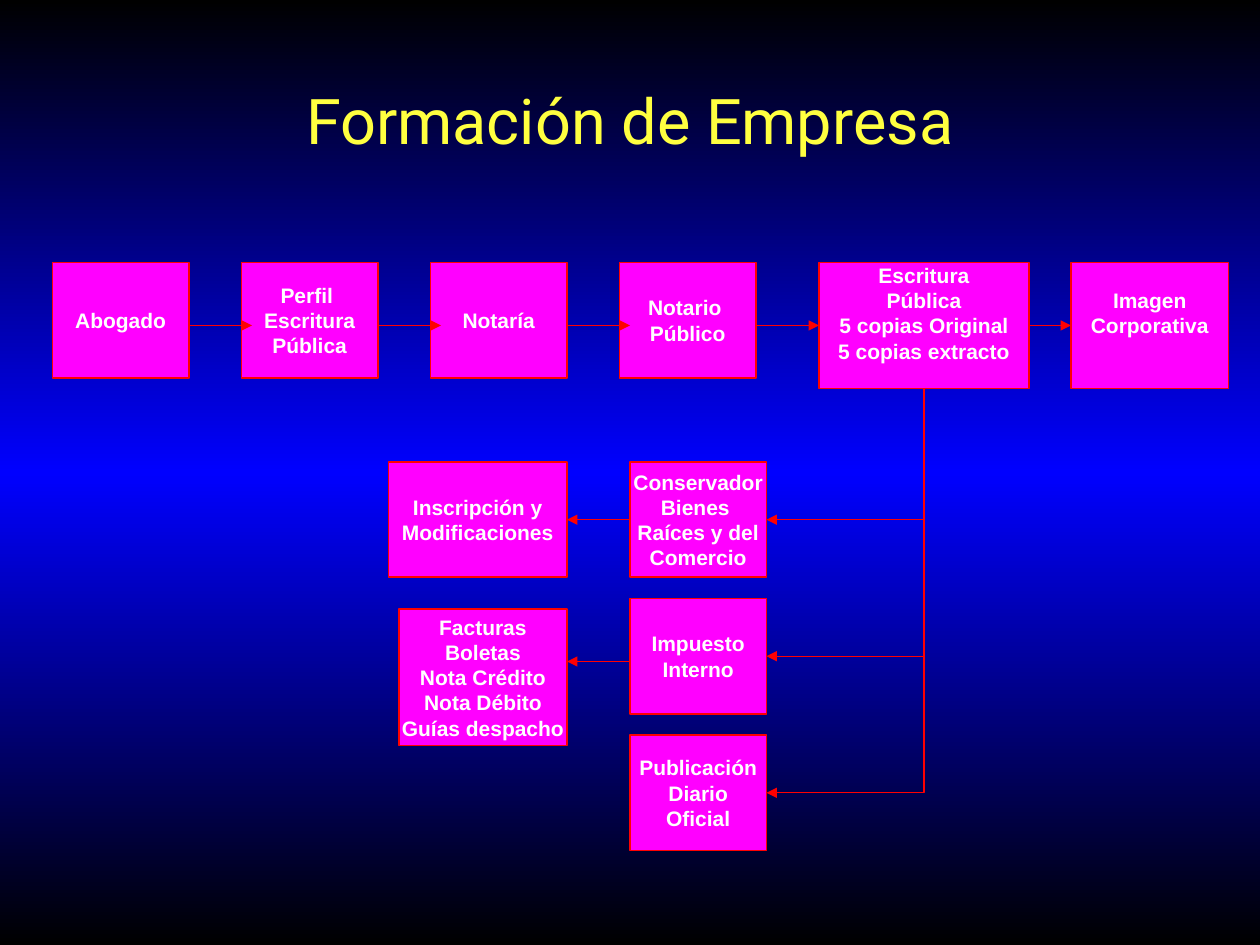
from copy import deepcopy
from dataclasses import dataclass

from lxml.etree import SubElement
from pptx import Presentation
from pptx.dml.color import RGBColor as RGB
from pptx.enum.shapes import MSO_CONNECTOR as LINK, MSO_SHAPE as SHAPE
from pptx.enum.text import MSO_ANCHOR as ANCHOR, MSO_AUTO_SIZE as FIT, PP_ALIGN as ALIGN
from pptx.oxml.ns import qn
from pptx.util import Inches, Pt

COLS, ROWS = 120, 90
TOP, LEFT, BOTTOM, RIGHT = 0, 1, 2, 3


@dataclass
class Theme:
    night: RGB = RGB(0, 0, 0)
    glow: RGB = RGB(0, 0, 255)
    title: RGB = RGB(255, 255, 64)
    box: RGB = RGB(255, 0, 255)
    line: RGB = RGB(255, 0, 0)
    text: RGB = RGB(255, 255, 255)
    head: str = "Roboto"
    body: str = "Arial"
    big: int = 36
    small: int = 12
    edge: float = 1
    link: float = 0.75


class Chart:
    """Draws the flow on a grid of COLS by ROWS."""

    def __init__(self, deck, theme):
        self.theme = theme
        self.slide = deck.slides.add_slide(deck.slide_layouts[5])
        self.shapes = self.slide.shapes
        self.dx = deck.slide_width / COLS
        self.dy = deck.slide_height / ROWS

    def x(self, col):
        return round(col * self.dx)

    def y(self, row):
        return round(row * self.dy)

    def back(self):
        fill = self.slide.background.fill
        fill.gradient()
        fill.gradient_angle = 270
        stops = self.slide.element.find(".//" + qn("a:gsLst"))
        stops.append(deepcopy(stops[0]))
        tones = (self.theme.night, self.theme.glow, self.theme.night)
        for i, (stop, tone) in enumerate(zip(fill.gradient_stops, tones)):
            stop.position = i / 2
            stop.color.rgb = tone

    def label(self, par, text, face, size, color, bold):
        par.alignment = ALIGN.CENTER
        run = par.add_run()
        run.text = text
        font = run.font
        font.name, font.size, font.bold = face, Pt(size), bold
        font.color.rgb = color

    def title(self, text, col, row, wide, high):
        t, head = self.theme, self.shapes.title
        head.left, head.top = self.x(col), self.y(row)
        head.width, head.height = self.x(wide), self.y(high)
        frame = head.text_frame
        frame.auto_size, frame.vertical_anchor = FIT.NONE, ANCHOR.TOP
        par = frame.paragraphs[0]
        par.line_spacing = 0.9
        self.label(par, text, t.head, t.big, t.title, False)

    def box(self, lines, col, row, wide=13, high=11, lift=0):
        """Add a box; lift is the room, in rows, kept free below its text."""
        t = self.theme
        box = self.shapes.add_shape(
            SHAPE.RECTANGLE, self.x(col), self.y(row), self.x(wide), self.y(high))
        box.shadow.inherit = False
        box.fill.solid()
        box.fill.fore_color.rgb = t.box
        box.line.color.rgb, box.line.width = t.line, Pt(t.edge)
        frame = box.text_frame
        frame.word_wrap, frame.vertical_anchor = False, ANCHOR.MIDDLE
        frame.margin_bottom = Inches(0.05) + self.y(lift)
        for i, line in enumerate(lines):
            par = frame.add_paragraph() if i else frame.paragraphs[0]
            self.label(par, line, t.body, t.small, t.text, True)
        return box

    def arrow(self, kind=LINK.STRAIGHT, ends=(0, 0, 0, 0)):
        a, b, c, d = ends
        line = self.shapes.add_connector(
            kind, self.x(a), self.y(b), self.x(c), self.y(d))
        line.line.color.rgb, line.line.width = self.theme.line, Pt(self.theme.link)
        props = line.element.spPr
        SubElement(props.find(qn("a:ln")), qn("a:tailEnd"), type="triangle")
        SubElement(props, qn("a:effectLst"))
        return line

    def join(self, start, side, end, other, kind=LINK.STRAIGHT):
        line = self.arrow(kind)
        line.begin_connect(start, side)
        line.end_connect(end, other)
        return line

    def drop(self, start, end):
        """Lead down from start, then left into the right side of end."""
        line = self.join(start, BOTTOM, end, RIGHT, LINK.ELBOW)
        left, top = line.end_x, line.begin_y
        wide, high = line.begin_x - left, line.end_y - top
        props = line.element.spPr
        props.find(qn("a:prstGeom")).set("prst", "bentConnector2")
        frame = props.find(qn("a:xfrm"))
        frame.attrib.clear()
        frame.set("rot", str(90 * 60000))
        # The quarter turn swaps the sides about the same centre.
        line.left, line.top = left + (wide - high) // 2, top + (high - wide) // 2
        line.width, line.height = high, wide


def main():
    deck = Presentation()
    deck.slide_width, deck.slide_height = Inches(10), Inches(7.5)
    flow = Chart(deck, Theme())
    flow.back()
    flow.title("Formación de Empresa", 9, 8, 102, 15)

    first, step, row = 5, 18, 25
    steps = (["Abogado"], ["Perfil ", "Escritura", "Pública"],
             ["Notaría"], ["Notario ", "Público"])
    for i, lines in enumerate(steps):
        flow.box(lines, first + i * step, row)
    deed = flow.box(["Escritura", "Pública", "5 copias Original", "5 copias extracto"],
                    78, row, 20, 12, lift=2.4)
    image = flow.box(["Imagen", "Corporativa"], 102, row, 15, 12, lift=2.4)
    for i in range(len(steps)):
        col = first + 13 + i * step
        line = flow.arrow(ends=(col, row + 6, col + 6, row + 6))
    line.end_connect(deed, LEFT)
    flow.join(deed, RIGHT, image, LEFT)

    offices = (["Conservador", "Bienes ", "Raíces y del", "Comercio"],
               ["Impuesto", "Interno"], ["Publicación", "Diario", "Oficial"])
    desks = [flow.box(lines, 60, 44 + 13 * i) for i, lines in enumerate(offices)]
    for desk in desks:
        flow.drop(deed, desk)

    entry = flow.box(["Inscripción y", "Modificaciones"], 37, 44, 17)
    flow.box(["Facturas", "Boletas", "Nota Crédito", "Nota Débito", "Guías despacho"],
             38, 58, 16, 13)
    flow.join(desks[0], LEFT, entry, RIGHT)
    flow.arrow(ends=(60, 63, 54, 63))
    deck.save("out.pptx")


if __name__ == "__main__":
    main()
